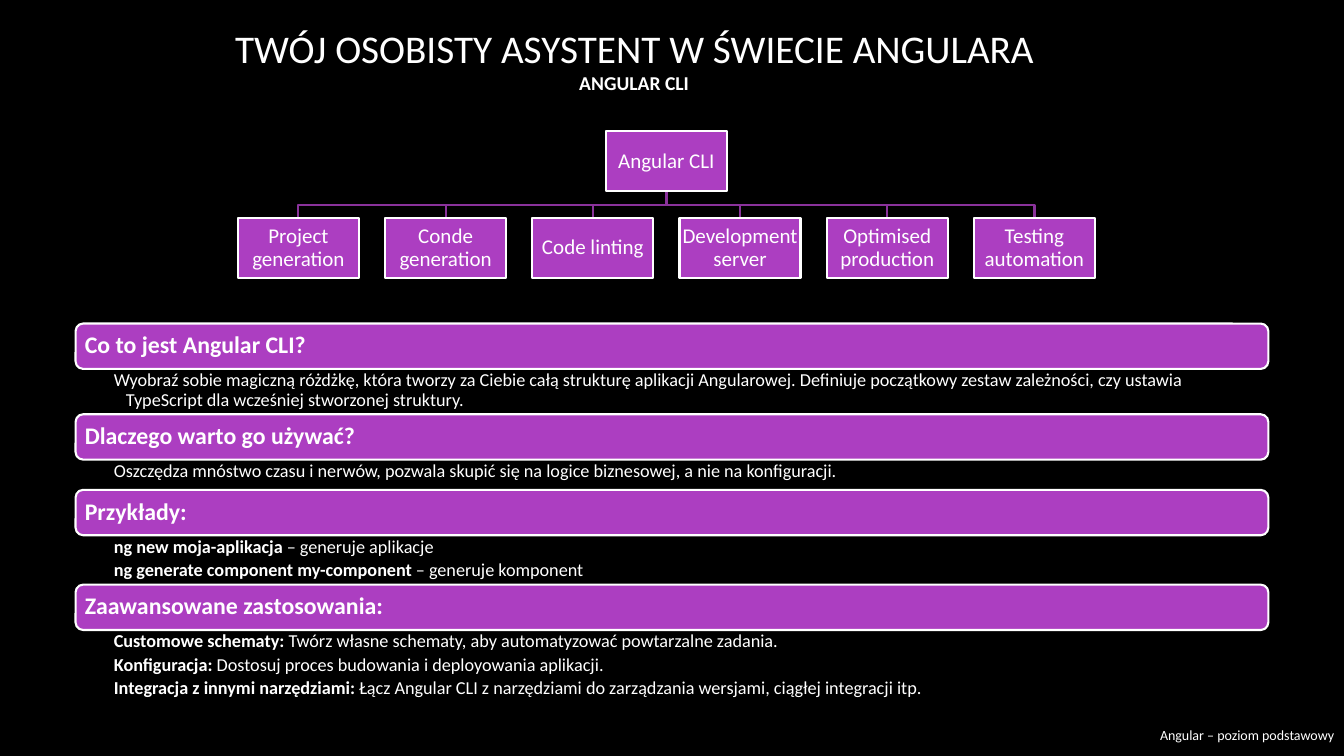
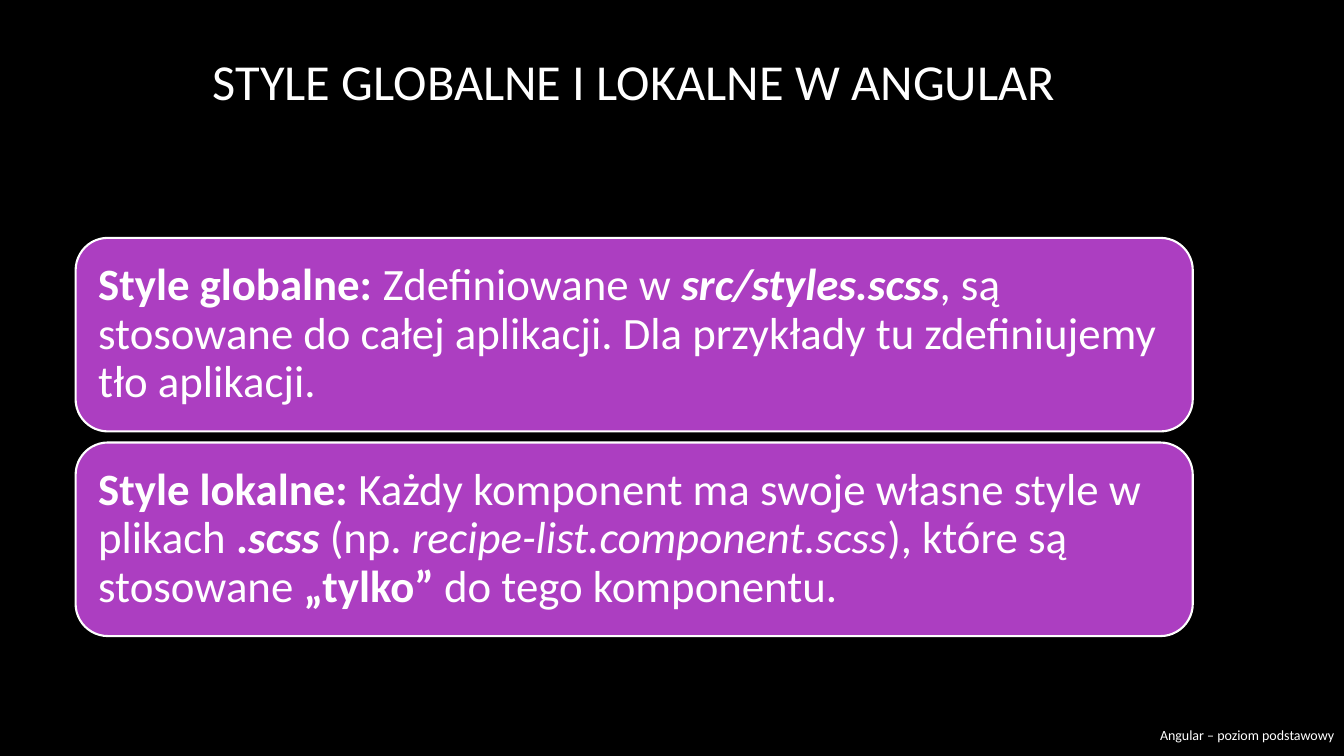
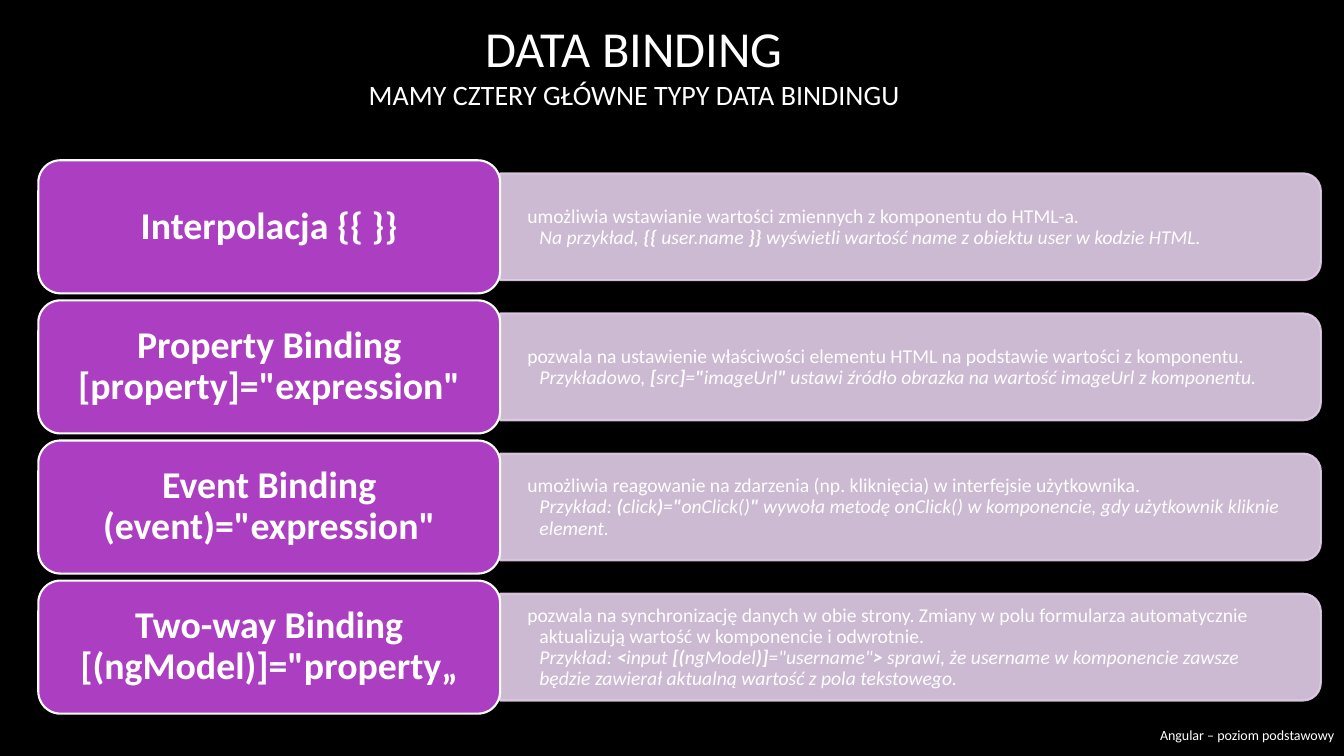
"""Builds three slides on Angular: the CLI, styles and data binding."""
from lxml.etree import SubElement
from pptx import Presentation
from pptx.dml.color import RGBColor
from pptx.enum.shapes import MSO_SHAPE as Shape
from pptx.enum.text import MSO_ANCHOR as Anchor, PP_ALIGN as Align
from pptx.oxml.ns import qn
from pptx.util import Inches, Pt

COLORS = {
    "background": "000000",
    "text": "FFFFFF",
    "purple": "AC3EC1",
    "branch": "8A329B",
    "lavender": "E3CEE9",
}


class Deck:
    font = "Calibri"
    line_width = 1.5
    footer = "Angular – poziom podstawowy"

    def __init__(self):
        self.presentation = Presentation()
        self.presentation.slide_width = Inches(13.33)
        self.presentation.slide_height = Inches(7.5)
        self.slide = None

    def color(self, name):
        return RGBColor.from_string(COLORS[name])

    def add_slide(self, title, sizes, height):
        self.slide = self.presentation.slides.add_slide(self.presentation.slide_layouts[6])
        fill = self.slide.background.fill
        fill.solid()
        fill.fore_color.rgb = self.color("background")
        self.text((0.75, 0, 11.08, height), title, sizes, align=Align.CENTER)
        self.text((11.36, 7.09, 1.97, 0.41), [self.footer], [10], align=Align.RIGHT)

    def set_text(self, shape, paragraphs, sizes, align=Align.LEFT, anchor=Anchor.MIDDLE,
                 insets=(0.1, 0.05, 0.1), spacing=1, after=0, hanging=0):
        frame = shape.text_frame
        frame.word_wrap = True
        frame.vertical_anchor = anchor
        left, edge, right = map(Inches, insets)
        frame.margin_left, frame.margin_right = left, right
        frame.margin_top = frame.margin_bottom = edge
        for index, content in enumerate(paragraphs):
            paragraph = frame.add_paragraph() if index else frame.paragraphs[0]
            paragraph.alignment = align
            paragraph.line_spacing = spacing
            paragraph.space_after = Pt(after)
            if hanging:
                properties = paragraph._p.get_or_add_pPr()
                properties.set("marL", str(Inches(hanging)))
                properties.set("indent", str(-Inches(hanging)))
            self.add_runs(paragraph, content, sizes[index % len(sizes)])

    def add_runs(self, paragraph, content, size):
        for number, line in enumerate(content.split("\n")):
            if number:
                paragraph.add_line_break()
                SubElement(paragraph._p[-1], qn("a:rPr"), sz=str(size * 100))
            for slant, stretch in enumerate(line.split("_")):
                for weight, words in enumerate(stretch.split("*")):
                    if words:
                        run = paragraph.add_run()
                        run.text = words
                        run.font.name = self.font
                        run.font.size = Pt(size)
                        run.font.bold = weight % 2 == 1
                        run.font.italic = slant % 2 == 1
                        run.font.color.rgb = self.color("text")

    def text(self, box, paragraphs, sizes, **style):
        label = self.slide.shapes.add_textbox(*map(Inches, box))
        self.set_text(label, paragraphs, sizes, **style)

    def shape(self, kind, box, fill="purple", line="text"):
        shape = self.slide.shapes.add_shape(kind, *map(Inches, box))
        shape.shadow.inherit = False
        shape.fill.solid()
        shape.fill.fore_color.rgb = self.color(fill)
        shape.line.color.rgb = self.color(line)
        shape.line.width = Pt(self.line_width)
        return shape

    def card(self, box, content, size, kind=Shape.ROUNDED_RECTANGLE, **style):
        self.set_text(self.shape(kind, box), [content], [size], spacing=0.9, **style)

    def panel(self, left, top, width, height):
        box = (left + (width - height) / 2, top + (height - width) / 2, height, width)
        panel = self.shape(Shape.ROUND_2_SAME_RECTANGLE, box, "lavender", "lavender")
        panel.rotation = 90
        for tint in panel._element.spPr.iter(qn("a:srgbClr")):
            SubElement(tint, qn("a:alpha"), val="90000")

    def branch(self, points):
        start, *rest = [(Inches(x), Inches(y)) for x, y in points]
        builder = self.slide.shapes.build_freeform(*start)
        builder.add_line_segments(rest, close=False)
        branch = builder.convert_to_shape()
        branch.shadow.inherit = False
        branch.fill.background()
        branch.line.color.rgb = self.color("branch")
        branch.line.width = Pt(self.line_width)


def build_cli(deck):
    deck.add_slide(["TWÓJ OSOBISTY ASYSTENT W ŚWIECIE ANGULARA", "*ANGULAR CLI*"], [28, 14], 1.18)
    sections = [
        ("Co to jest Angular CLI?", 0.45, [
            "Wyobraź sobie magiczną różdżkę, która tworzy za Ciebie całą strukturę aplikacji "
            "Angularowej. Definiuje początkowy zestaw zależności, czy ustawia TypeScript dla "
            "wcześniej stworzonej struktury."]),
        ("Dlaczego warto go używać?", 0.3, [
            "Oszczędza mnóstwo czasu i nerwów, pozwala skupić się na logice biznesowej, "
            "a nie na konfiguracji."]),
        ("Przykłady:", 0.49, [
            "*ng new moja-aplikacja *– generuje aplikacje",
            "*ng generate component my-component *– generuje komponent"]),
        ("Zaawansowane zastosowania:", 0.73, [
            "*Customowe schematy:* Twórz własne schematy, aby automatyzować powtarzalne zadania.",
            "*Konfiguracja:* Dostosuj proces budowania i deployowania aplikacji.",
            "*Integracja z innymi narzędziami:* Łącz Angular CLI z narzędziami do zarządzania "
            "wersjami, ciągłej integracji itp."]),
    ]
    left, top, width, heading_height = 0.75, 3.21, 11.83, 0.45
    for heading, body_height, body in sections:
        deck.card((left, top, width, heading_height), f"*{heading}*", 17,
                  insets=(0.07, 0.07, 0.07))
        top += heading_height
        deck.text((left, top, width, body_height), body, [13], anchor=Anchor.TOP,
                  insets=(0.38, 0.02, 0.13), spacing=0.9, after=2.6, hanging=0.12)
        top += body_height

    features = ["Project generation", "Conde generation", "Code linting",
                "Development server", "Optimised production", "Testing automation"]
    node_width, node_height, step = 1.2, 0.6, 1.46
    root_left, root_top, feature_top = 6.01, 1.3, 2.16
    lefts = [2.36 + step * index for index in range(len(features))]
    root_bottom = root_top + node_height
    root_center = root_left + node_width / 2
    middle = (root_bottom + feature_top) / 2
    for feature_left in lefts:
        center = feature_left + node_width / 2
        deck.branch([(root_center, root_bottom), (root_center, middle),
                     (center, middle), (center, feature_top)])
    nodes = [("Angular CLI", root_left, root_top)]
    nodes += [(feature, x, feature_top) for feature, x in zip(features, lefts)]
    for name, x, y in nodes:
        deck.card((x, y, node_width, node_height), name, 15, Shape.RECTANGLE,
                  align=Align.CENTER, insets=(0.01, 0.01, 0.01))


def build_styles(deck):
    deck.add_slide(["STYLE GLOBALNE I LOKALNE W ANGULAR"], [36], 1.59)
    scopes = [
        "*Style globalne: *Zdefiniowane w _*src/styles.scss*_, są stosowane do całej aplikacji. "
        "Dla przykłady tu zdefiniujemy tło aplikacji.",
        "*Style lokalne: *Każdy komponent ma swoje własne style w plikach *.*_*scss *_(np. "
        "_recipe-list.component.scss_), które są stosowane *„tylko”* do tego komponentu.",
    ]
    for index, scope in enumerate(scopes):
        deck.card((0.75, 2.36 + 2.03 * index, 11.08, 1.92), scope, 32,
                  insets=(0.13, 0.13, 0.13))


def build_binding(deck):
    deck.add_slide(["DATA BINDING", "MAMY CZTERY GŁÓWNE TYPY DATA BINDINGU"], [36, 20], 1.27)
    bindings = [
        ("Interpolacja {{ }}",
         "umożliwia wstawianie wartości zmiennych z komponentu do HTML-a.\n"
         "_Na przykład, *{{* user.name *}}* wyświetli wartość name z obiektu user w kodzie HTML._"),
        ('Property Binding [property]="expression"',
         "pozwala na ustawienie właściwości elementu HTML na podstawie wartości z komponentu.\n"
         '_Przykładowo, *[*src*]*=*"*imageUrl*"* ustawi źródło obrazka na wartość imageUrl '
         "z komponentu._"),
        ('Event Binding (event)="expression"',
         "umożliwia reagowanie na zdarzenia (np. kliknięcia) w interfejsie użytkownika.\n"
         '_Przykład: *(*click*)*=*"*onClick()*"* wywoła metodę onClick() w komponencie, '
         "gdy użytkownik kliknie element._"),
        ('Two-way Binding [(ngModel)]="property„',
         "pozwala na synchronizację danych w obie strony. Zmiany w polu formularza "
         "automatycznie aktualizują wartość w komponencie i odwrotnie.\n"
         '_Przykład: *<*input *[(*ngModel*)]*="username"*>* sprawi, że username w komponencie '
         "zawsze będzie zawierał aktualną wartość z pola tekstowego._"),
    ]
    for index, (name, description) in enumerate(bindings):
        top = 1.59 + 1.39 * index
        deck.panel(4.96, top + 0.13, 8.14, 1.06)
        deck.text((4.96, top + 0.19, 8.09, 0.95), [description], [14],
                  insets=(0.27, 0.14, 0.27), spacing=0.9, hanging=0.12)
        deck.card((0.38, top, 4.58, 1.32), f"*{name}*", 27,
                  align=Align.CENTER, insets=(0.11, 0.06, 0.11))


def main():
    deck = Deck()
    build_cli(deck)
    build_styles(deck)
    build_binding(deck)
    deck.presentation.save("out.pptx")


if __name__ == "__main__":
    main()
